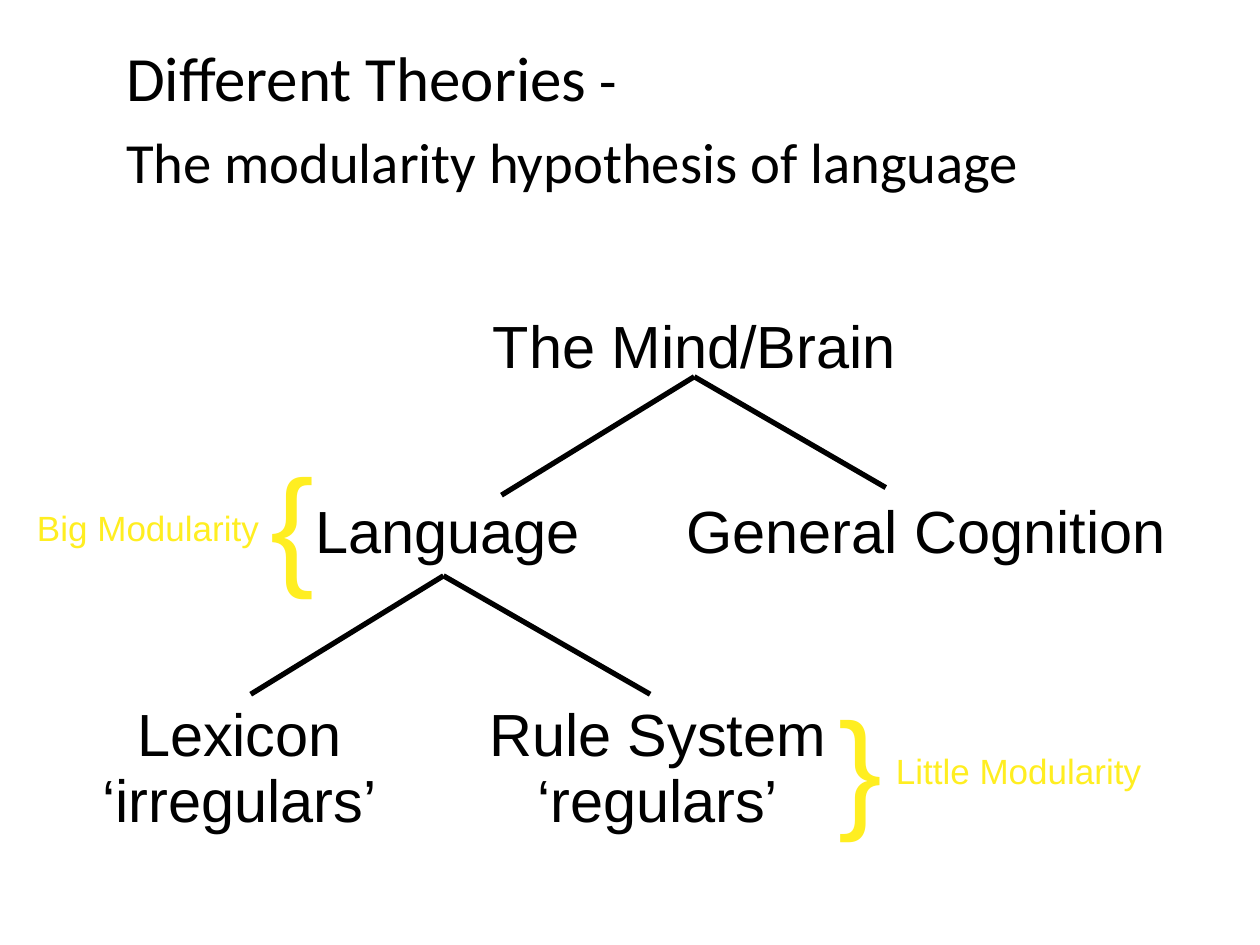
from dataclasses import dataclass

from lxml import etree
from pptx import Presentation
from pptx.dml.color import RGBColor
from pptx.enum.shapes import MSO_CONNECTOR
from pptx.enum.text import MSO_ANCHOR, MSO_AUTO_SIZE, PP_ALIGN
from pptx.oxml.ns import qn
from pptx.util import Inches, Pt

LINE = MSO_CONNECTOR.STRAIGHT
MIDDLE = MSO_ANCHOR.MIDDLE
FIXED = MSO_AUTO_SIZE.NONE
LEFT, CENTER = PP_ALIGN.LEFT, PP_ALIGN.CENTER


@dataclass(frozen=True)
class Theme:
    """Hold the colours, fonts and type sizes."""
    ink: str = "000000"
    mark: str = "FFEE21"
    shade: str = "EEECE1"
    head: str = "Calibri"
    body: str = "Arial"
    title: float = 36
    sub: float = 32.4
    tail: float = 39.6
    node: float = 34
    note: float = 20
    brace: float = 75
    rule: float = 3


THEME = Theme()


def cast(run):
    """Give a run a soft shadow."""
    effect = etree.Element(qn("a:effectLst"))
    drop = etree.SubElement(effect, qn("a:outerShdw"),
                            dist="38100", dir="2700000", algn="tl")
    etree.SubElement(drop, qn("a:srgbClr"), val=THEME.shade)
    run.font.fill._xPr.find(qn("a:solidFill")).addnext(effect)


def style(font, size, color, face):
    """Set the size, colour and face of a font."""
    font.size, font.name = Pt(size), face
    font.color.rgb = RGBColor.from_string(color)


def write(slide, text, box, size=THEME.node, color=THEME.ink,
          face=THEME.body, space=None, gap=0, shadow=False):
    """Place centred text in a box, one paragraph a line."""
    shape = slide.shapes.add_textbox(*map(Inches, box))
    frame = shape.text_frame
    frame.word_wrap = True
    frame.margin_left = frame.margin_right = Inches(0.07)
    frame.margin_top = frame.margin_bottom = Inches(0.04)
    frame.text = text
    for i, para in enumerate(frame.paragraphs):
        para.alignment = CENTER
        if space:
            para.line_spacing = space
        if i:
            para.space_before = Pt(gap)
        for run in para.runs:
            style(run.font, size, color, face)
            if shadow:
                cast(run)


def heading(slide, box):
    """Fill the title placeholder with its two lines."""
    shape = slide.shapes.title
    shape.left, shape.top, shape.width, shape.height = map(Inches, box)
    frame = shape.text_frame
    frame.auto_size, frame.vertical_anchor = FIXED, MIDDLE
    frame.word_wrap = True
    para = frame.paragraphs[0]
    para.alignment = LEFT
    parts = (("Different Theories", THEME.title), (" - ", THEME.sub), None,
             ("The modularity hypothesis of language", THEME.sub),
             (" ", THEME.tail))
    for part in parts:
        if part is None:
            para.add_line_break()
            continue
        run = para.add_run()
        run.text = part[0]
        style(run.font, part[1], THEME.ink, THEME.head)


def fork(slide, box, peak, rise=0):
    """Draw two branches from a peak to the foot of a box."""
    left, top, width, height = box
    feet = ((left, top + height), (left + width, top + height - rise))
    for x, y in feet:
        points = (left + peak, top, x, y)
        line = slide.shapes.add_connector(LINE, *map(Inches, points))
        line.line.width = Pt(THEME.rule)
        line.line.color.rgb = RGBColor.from_string(THEME.ink)
        etree.SubElement(line._element.spPr, qn("a:effectLst"))


def tree(slide, box):
    """Lay out the nodes and branches of the tree."""
    left, top = box[:2]
    nodes = (("The Mind/Brain", 3.46, 0, 3.52),
             ("Language", 1.94, 1.47, 2.65),
             ("General Cognition", 5.04, 1.47, 4.04))
    for text, x, y, width in nodes:
        write(slide, text, (left + x, top + y, width, 0.64), shadow=True)
    leaves = (("Lexicon\n‘irregulars’", 0, 3.22),
              ("Rule System\n‘regulars’", 3.17, 3.52))
    for text, x, width in leaves:
        write(slide, text, (left + x, top + 3.33, width, 0.92),
              space=0.5, gap=THEME.node / 2, shadow=True)
    fork(slide, (left + 3.69, top + 0.58, 3.05, 0.94), 1.53, rise=0.06)
    fork(slide, (left + 1.7, top + 2.16, 3.17, 0.94), 1.53)


def note(slide, box, sign, text, brace, label):
    """Place a brace and its label in a box."""
    left, top = box[:2]
    write(slide, sign, (left + brace, top, 0.88, 1.32),
          size=THEME.brace, color=THEME.mark)
    write(slide, text, (left + label, top + 0.52, 2.11, 0.4),
          size=THEME.note, color=THEME.mark)


def main():
    """Build and save the slide."""
    deck = Presentation()
    deck.slide_width, deck.slide_height = Inches(10), Inches(7.5)
    slide = deck.slides.add_slide(deck.slide_layouts[5])
    heading(slide, (0.9, 0.44, 8.67, 0.99))
    tree(slide, (0.29, 2.41, 9.08, 4.25))
    note(slide, (0.12, 3.46, 2.64, 1.32), "{", "Big Modularity", 1.76, 0)
    note(slide, (6.39, 5.39, 2.75, 1.32), "}", "Little Modularity", 0, 0.64)
    deck.save("out.pptx")


if __name__ == "__main__":
    main()
